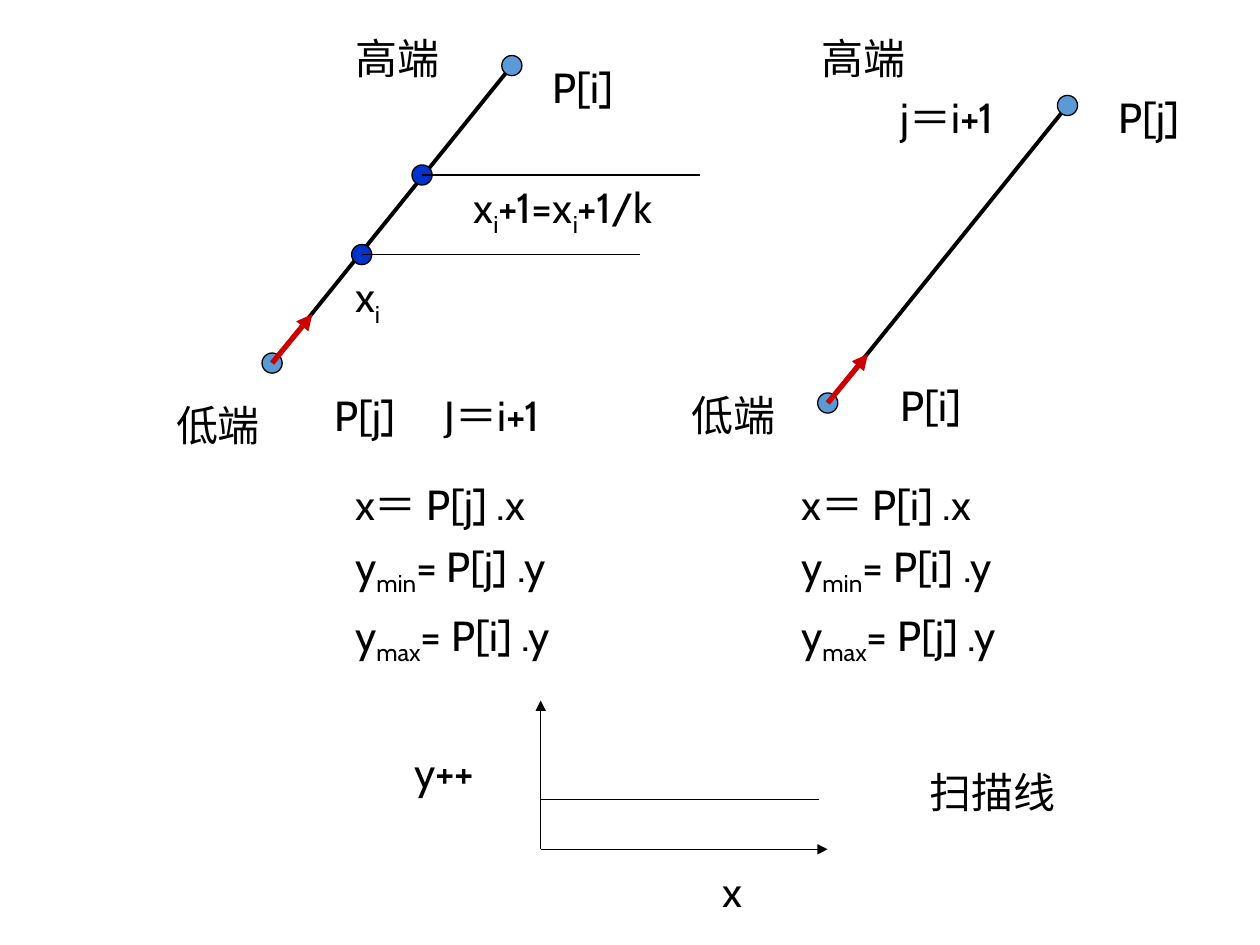
from pptx import Presentation
from pptx.dml.color import RGBColor
from pptx.enum.shapes import MSO_CONNECTOR, MSO_SHAPE
from pptx.enum.text import MSO_AUTO_SIZE
from pptx.oxml.ns import qn
from pptx.util import Pt
from lxml.etree import SubElement

BLACK = RGBColor(0x00, 0x00, 0x00)
RED = RGBColor(0xCC, 0x00, 0x00)
LIGHT_BLUE = RGBColor(0x5B, 0x9B, 0xD5)
DARK_BLUE = RGBColor(0x00, 0x33, 0xCC)
FONT = "Cabin"
DOT = 11.5
LABEL_HEIGHT = 36

# Size of a polygon edge, and the points along it
EDGE_WIDTH, EDGE_HEIGHT = 137, 170
STEP_X, STEP_Y = 23, 28
CROSSINGS = [(51.2, 108), (85.7, 62.5)]
SCAN_LENGTH = 159


def add_line(slide, start, end, color=BLACK, width=0.75, arrow=False):
    line = slide.shapes.add_connector(
        MSO_CONNECTOR.STRAIGHT, *(Pt(value) for value in (*start, *end)))
    line.line.color.rgb = color
    line.line.width = Pt(width)
    properties = line._element.spPr
    if arrow:
        SubElement(properties.find(qn("a:ln")), qn("a:tailEnd"), type="triangle")
    SubElement(properties, qn("a:effectLst"))


def add_dot(slide, x, y, color):
    dot = slide.shapes.add_shape(
        MSO_SHAPE.OVAL, Pt(x - DOT / 2), Pt(y - DOT / 2), Pt(DOT), Pt(DOT))
    dot.shadow.inherit = False
    dot.fill.solid()
    dot.fill.fore_color.rgb = color
    dot.line.color.rgb = BLACK
    dot.line.width = Pt(0.75)


def add_text(slide, left, top, width, lines, height=LABEL_HEIGHT,
             wrap=True, line_spacing=None):
    """Write lines of text; every second part between bars is a subscript."""
    box = slide.shapes.add_textbox(Pt(left), Pt(top), Pt(width), Pt(height))
    text_frame = box.text_frame
    text_frame.word_wrap = wrap
    text_frame.auto_size = MSO_AUTO_SIZE.SHAPE_TO_FIT_TEXT
    text_frame.text = "\n".join(lines)
    for paragraph, line in zip(text_frame.paragraphs, lines):
        paragraph.line_spacing = line_spacing
        paragraph.text = ""
        for index, part in enumerate(line.split("|")):
            if not part:
                continue
            run = paragraph.add_run()
            run.text = part
            run.font.name = FONT
            run.font.size = Pt(24)
            run.font.color.rgb = BLACK
            if index % 2:
                run.font._element.set("baseline", "-25000")


def add_labels(slide, left, top, labels):
    for text, x, y, width in labels:
        add_text(slide, left + x, top + y, width, [text])


def add_edge(slide, left, top, labels, crossings=()):
    """Edge from its low end at bottom left to its high end at top right."""
    low = (left, top + EDGE_HEIGHT)
    high = (left + EDGE_WIDTH, top)
    add_line(slide, low, high, width=2.25)
    add_labels(slide, left, top, labels)
    for end in (low, high):
        add_dot(slide, *end, LIGHT_BLUE)
    # Crossings with scan lines
    for x, y in crossings:
        x, y = left + x, top + y
        add_dot(slide, x, y, DARK_BLUE)
        add_line(slide, (x, y), (x + SCAN_LENGTH, y))
    # Direction of travel
    add_line(slide, low, (low[0] + STEP_X, low[1] - STEP_Y), RED, 3, arrow=True)


def add_formulas(slide, left, top, low, high):
    add_text(slide, left, top, 145.5,
             [f"x＝ {low} .x", f"y|min|= {low} .y", f"y|max|= {high} .y"],
             height=111, wrap=False, line_spacing=1.2)


def add_axes(slide, left, top, width, height):
    origin = (left, top + height)
    add_line(slide, origin, (left, top), arrow=True)
    add_line(slide, origin, (left + width, top + height), arrow=True)
    # Scan line
    scan_y = top + height * 2 / 3
    add_line(slide, (left, scan_y), (left + SCAN_LENGTH, scan_y))
    add_labels(slide, left, top, [
        ("x", 96.5, 90.7, 34),
        ("y++", -79.5, 23, 63),
        ("扫描线", 215, 34, 96.5),
    ])


def main():
    presentation = Presentation()
    presentation.slide_width, presentation.slide_height = Pt(720), Pt(540)
    slide = presentation.slides.add_slide(presentation.slide_layouts[6])

    # Left: the edge starts at P[j]
    add_edge(slide, 155.5, 37.5, [
        ("高端", 40.3, -22.4, 73.5),
        ("P[i]", 153.4, -5.8, 57),
        ("x|i|+1=x|i|+1/k", 108, 62.5, 181.5),
        ("x|i|", 40.3, 113.7, 34),
        ("低端", -62, 187, 73.5),
        ("P[j]", 28.8, 181.4, 62.5),
        ("J＝i+1", 91.5, 181.4, 90.7),
    ], CROSSINGS)
    add_formulas(slide, 195.8, 264.2, low="P[j]", high="P[i]")

    # Right: the edge starts at P[i]
    add_edge(slide, 473, 60.3, [
        ("高端", -10.8, -45.2, 73.5),
        ("j＝i+1", 34.6, -11.4, 90.7),
        ("P[j]", 159.2, -11.4, 68.4),
        ("低端", -85, 158.6, 73.5),
        ("P[i]", 34.6, 152.8, 68.4),
    ])
    add_formulas(slide, 450.7, 264.2, low="P[i]", high="P[j]")

    # Bottom: the scan line in its axes
    add_axes(slide, 309, 400.3, 164, 85)

    presentation.save("out.pptx")


if __name__ == "__main__":
    main()
